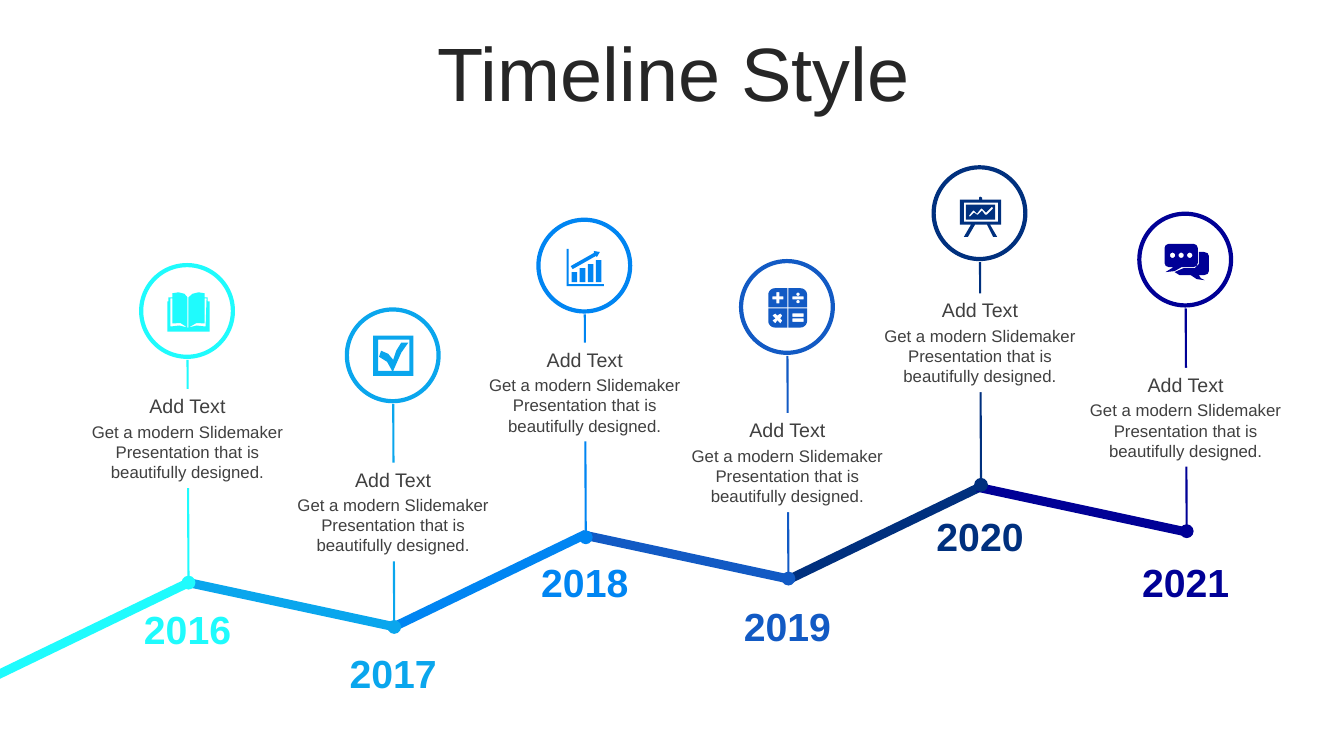
import math
from dataclasses import dataclass

import lxml.etree
import pptx
import pptx.dml.color
import pptx.enum.shapes
import pptx.enum.text
import pptx.oxml.ns
import pptx.util

Inches = pptx.util.Inches
Pt = pptx.util.Pt
qn = pptx.oxml.ns.qn


@dataclass(frozen=True)
class Theme:
    font: str = "Arial"
    background: str = "FFFFFF"
    title: str = "262626"
    body: str = "404040"
    years: tuple = ("1FFBFD", "0AA6ED", "0085F2", "125AC4", "00307E", "000096")
    title_size: int = 54
    year_size: int = 28
    heading_size: int = 14
    body_size: int = 12
    ring_width: float = 3
    stem_width: float = 1.5


def rgb(color):
    return pptx.dml.color.RGBColor.from_string(color)


def box(left, top, right, bottom, radii=(0, 0, 0, 0)):
    """Outline of a box; radii run clockwise from the top left corner."""
    corners = ((left, top, 1, 1), (right, top, -1, 1),
               (right, bottom, -1, -1), (left, bottom, 1, -1))
    points = []
    for i, ((x, y, dx, dy), radius) in enumerate(zip(corners, radii)):
        for step in range(7 if radius else 1):
            angle = math.radians(180 + 90 * i + 15 * step)
            points.append((x + radius * (dx + math.cos(angle)),
                           y + radius * (dy + math.sin(angle))) if radius else (x, y))
    return points


def dot(x, y, radius):
    return box(x - radius, y - radius, x + radius, y + radius, (radius,) * 4)


# Icon outlines in hundredths of an inch; overlapping outlines cut holes.
BOOK = [[(20, 35), (21, 35), (29, 33), (38, 34), (39, 6), (37, 6), (37, 31), (29, 30.5),
         (21, 35), (21, 5), (25, 1.5), (31, 0), (37, 1), (37, 5), (40, 5), (40, 9),
         (42, 9), (42, 39), (0, 39), (0, 9), (1, 9), (1, 5), (5, 5), (5, 1), (11, 0),
         (17, 1.5), (20, 5), (20, 35), (13, 30.5), (5, 31), (5, 6), (3, 6), (3, 34),
         (12, 33)]]
CHECKBOX = [box(0, 0, 40, 40),
            [(5, 4), (5, 35), (19, 35), (14, 26), (6, 21), (8, 15), (15, 18), (20, 24),
             (23, 15), (28, 7), (35, 7), (28, 17), (20, 35), (36, 35), (36, 4)]]
GROWTH = [box(5 + 8 * i, 23 - 4 * i, 10.5 + 8 * i, 33) for i in range(4)] + [
    [(27, 2), (33, 3), (30, 8), (29, 7), (6, 20), (4, 17), (27, 4)],
    [(0, 0), (2, 0), (2, 35), (37, 35), (37, 37), (0, 37)]]
CALCULATOR = [
    box(0, 0, 19, 19, (6.5, 0, 0, 0)), box(20, 0, 38.5, 19, (0, 6.5, 0, 0)),
    box(20, 20, 38.5, 39, (0, 0, 6.5, 0)), box(0, 20, 19, 39, (0, 0, 0, 6.5)),
    [(8, 4), (11, 4), (11, 8), (15, 8), (15, 11), (11, 11),
     (11, 15), (8, 15), (8, 11), (4, 11), (4, 8), (8, 8)],
    [(7, 25), (4, 27), (7, 30), (4, 32), (7, 35), (9, 32),
     (12, 35), (14, 32), (12, 30), (14, 27), (12, 25), (9, 27)],
    box(24, 8, 35, 11), dot(29.5, 6, 1.7), dot(29.5, 13.3, 1.7),
    box(24, 25, 35, 28.5), box(24, 30, 35, 33.5)]
BOARD = [
    [(20, 0), (22, 1), (22, 3), (41, 3), (41, 28), (30, 28), (37, 40), (33, 40),
     (27, 28), (15, 28), (8, 40), (4, 40), (11, 28), (0, 28), (0, 3), (19, 3), (19, 1)],
    box(4, 6, 38, 25), box(6, 8, 35, 23),
    [(32, 10), (26, 16), (22, 12), (21, 12), (17, 17), (14, 14), (13, 14), (9, 19),
     (10, 20), (14, 16), (17, 18), (18, 18), (22, 14), (25, 18), (27, 18), (33, 12)]]
CHAT = [
    [(34, 8), (39, 8), (42.8, 9.2), (44, 12), (44, 27), (42.8, 29.8), (39, 31), (34, 31),
     (36, 34), (40, 36), (32, 35), (26, 31), (15, 31), (10, 28), (19, 24), (30, 24),
     (34, 20)],
    [(4, 0), (29, 0), (31.8, 1.2), (33, 4), (33, 19), (31.8, 21.8), (29, 23), (17, 23),
     (10, 27), (1, 28), (9, 23), (4, 23), (1.2, 21.8), (0, 19), (0, 4), (1.2, 1.2)],
    dot(8, 11.3, 2.6), dot(16.5, 11.3, 2.6), dot(25, 11.3, 2.6)]

# year, centre, ring top, heading top, year top, icon, icon left and top
MILESTONES = [
    ("2016", 1.86, 2.63, 3.86, 5.96, BOOK, 1.66, 2.9),
    ("2017", 3.9, 3.07, 4.59, 6.39, CHECKBOX, 3.7, 3.33),
    ("2018", 5.8, 2.18, 3.4, 5.49, GROWTH, 5.62, 2.47),
    ("2019", 7.81, 2.59, 4.1, 5.93, CALCULATOR, 7.62, 2.86),
    ("2020", 9.72, 1.66, 2.91, 5.03, BOARD, 9.52, 1.95),
    ("2021", 11.76, 2.12, 3.65, 5.49, CHAT, 11.55, 2.42),
]
HEADING = "Add Text"
DESCRIPTION = "Get a modern Slidemaker Presentation that is beautifully designed."


class TimelineSlide:
    def __init__(self, slide, theme):
        self.shapes = slide.shapes
        self.theme = theme

    def paint(self, shape, color):
        shape.shadow.inherit = False
        shape.fill.solid()
        shape.fill.fore_color.rgb = rgb(color)
        shape.line.fill.background()

    def text(self, words, left, top, width, height, size, color, bold=False, fill=None):
        label = self.shapes.add_textbox(Inches(left), Inches(top), Inches(width), Inches(height))
        if fill:
            label.fill.solid()
            label.fill.fore_color.rgb = rgb(fill)
        frame = label.text_frame
        frame.word_wrap = True
        frame.text = words
        paragraph = frame.paragraphs[0]
        paragraph.alignment = pptx.enum.text.PP_ALIGN.CENTER
        font = paragraph.runs[0].font
        font.name, font.size, font.bold = self.theme.font, Pt(size), bold
        font.color.rgb = rgb(color)
        return frame

    def title(self, words):
        frame = self.text(words, 0.35, 0.37, 12.66, 0.79, self.theme.title_size, self.theme.title)
        frame.vertical_anchor = pptx.enum.text.MSO_ANCHOR.MIDDLE
        frame.paragraphs[0].line_spacing = 0.9

    def segment(self, left, top, rotation, color):
        bar = self.shapes.add_shape(pptx.enum.shapes.MSO_SHAPE.RECTANGLE,
                                    Inches(left), Inches(top), Inches(2.12), Inches(0.09))
        bar.rotation = rotation
        self.paint(bar, color)

    def ring(self, centre, top, color):
        ring = self.shapes.add_shape(pptx.enum.shapes.MSO_SHAPE.OVAL, Inches(centre - 0.46),
                                     Inches(top), Inches(0.91), Inches(0.91))
        ring.shadow.inherit = False
        ring.fill.background()
        ring.line.color.rgb = rgb(color)
        ring.line.width = Pt(self.theme.ring_width)

    def stem(self, x, top, color):
        """Line from the ring down to a round dot on the path."""
        stem = self.shapes.add_connector(pptx.enum.shapes.MSO_CONNECTOR.STRAIGHT, Inches(x),
                                         Inches(top), Inches(x + 0.01), Inches(top + 2.21))
        stem.line.color.rgb = rgb(color)
        stem.line.width = Pt(self.theme.stem_width)
        lxml.etree.SubElement(stem.line._get_or_add_ln(), qn("a:tailEnd"),
                              type="oval", w="lg", len="lg")
        lxml.etree.SubElement(stem._element.spPr, qn("a:effectLst"))

    def icon(self, outlines, left, top, color):
        builder = None
        for outline in outlines:
            start, *rest = [(10 * x, 10 * y) for x, y in outline]
            if builder is None:
                builder = self.shapes.build_freeform(*start, scale=Inches(0.001))
            else:
                builder.move_to(*start)
            builder.add_line_segments(rest, close=True)
        self.paint(builder.convert_to_shape(Inches(left), Inches(top)), color)


def main():
    deck = pptx.Presentation()
    deck.slide_width, deck.slide_height = Inches(13.33), Inches(7.5)
    theme = Theme()
    timeline = TimelineSlide(deck.slides.add_slide(deck.slide_layouts[6]), theme)
    timeline.title("Timeline Style")
    for i, color in enumerate(theme.years):
        timeline.segment(-0.13 + 1.96 * i, 6.19 - 0.236 * i, 12.1 if i % 2 else 334.2, color)
    for color, milestone in zip(theme.years, MILESTONES):
        year, centre, ring_top, heading_top, year_top, icon, icon_left, icon_top = milestone
        timeline.ring(centre, ring_top, color)
        timeline.stem(centre, ring_top + 0.94, color)
        timeline.text(year, centre - 0.78, year_top, 1.56, 0.57, theme.year_size, color, bold=True)
        for words, top, height, size in ((HEADING, heading_top, 0.34, theme.heading_size),
                                         (DESCRIPTION, heading_top + 0.27, 0.71, theme.body_size)):
            timeline.text(words, centre - 1.15, top, 2.3, height, size, theme.body,
                          fill=theme.background)
        timeline.icon(icon, icon_left, icon_top, color)
    deck.save("out.pptx")


if __name__ == "__main__":
    main()
